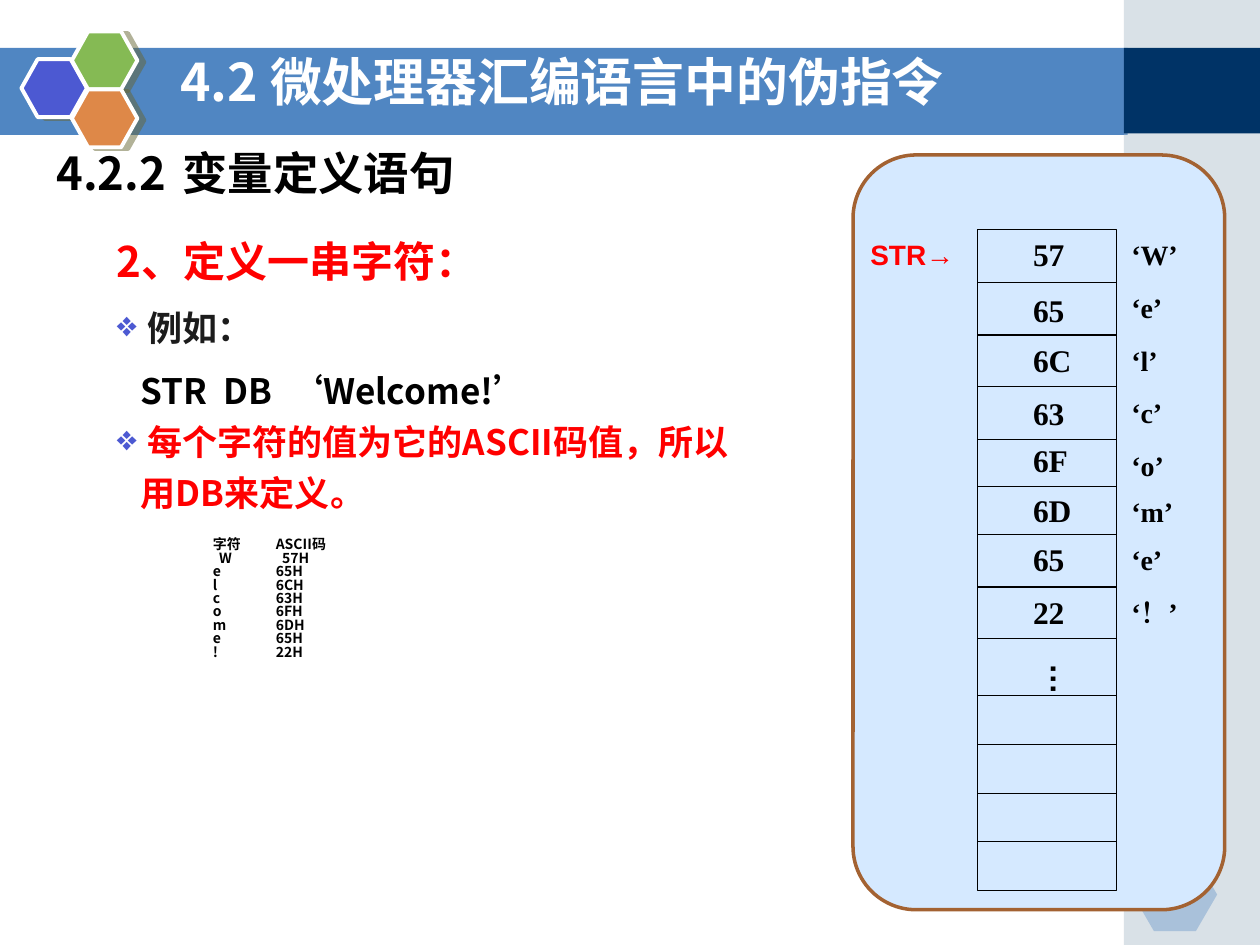
from dataclasses import dataclass

from lxml import etree
from pptx import Presentation
from pptx.dml.color import RGBColor
from pptx.enum.shapes import MSO_CONNECTOR, MSO_SHAPE
from pptx.enum.text import MSO_ANCHOR, MSO_AUTO_SIZE, PP_ALIGN
from pptx.oxml.ns import qn
from pptx.util import Inches, Pt

RECTANGLE = MSO_SHAPE.RECTANGLE
ROUNDED = MSO_SHAPE.ROUNDED_RECTANGLE
HEXAGON = MSO_SHAPE.HEXAGON
STRAIGHT = MSO_CONNECTOR.STRAIGHT


@dataclass(frozen=True)
class Theme:
    cjk: str = "Noto Sans CJK SC"
    serif: str = "Times New Roman"
    sans: str = "Arial"
    white: str = "FFFFFF"
    black: str = "000000"
    dark: str = "1C1C1C"
    red: str = "FF0000"
    band: str = "5086C2"
    navy: str = "003366"
    side: str = "A0B5C4"
    violet: str = "4C59D2"
    green: str = "85BA54"
    orange: str = "DE8848"
    shadow: str = "666633"
    panel: str = "D5E9FF"
    panel_edge: str = "A36232"
    title_size: float = 29.6
    section_size: float = 25.9
    topic_size: float = 24
    body_size: float = 20
    code_size: float = 18
    label_size: float = 16
    small_size: float = 8


THEME = Theme()


@dataclass(frozen=True)
class Line:
    text: str
    size: float
    color: str = THEME.black
    font: str = THEME.cjk
    before: float = 0
    spacing: float | None = None
    margin: float = 0
    hanging: float = 0
    bullet: str = ""
    tab: float = 0


@dataclass(frozen=True)
class Byte:
    code: str
    character: str
    code_top: float


BODY = [
    Line("2、定义一串字符：", THEME.topic_size, THEME.red),
    Line("例如：", THEME.body_size, THEME.dark, before=12, bullet="❖", margin=0.24, hanging=0.24),
    Line("STR  DB  ‘Welcome!’", THEME.body_size, before=12, margin=0.19),
    Line("每个字符的值为它的ASCII码值，所以", THEME.body_size, THEME.red,
         before=5, bullet="❖", margin=0.24, hanging=0.24),
    Line("用DB来定义。", THEME.body_size, THEME.red, before=5, margin=0.19),
]
WORD = [
    Byte("57", "W", 1.82), Byte("65", "e", 2.26), Byte("6C", "l", 2.66), Byte("63", "c", 3.08),
    Byte("6F", "o", 3.45), Byte("6D", "m", 3.85), Byte("65", "e", 4.24), Byte("22", "！", 4.66),
]
MEMORY_LEFT, MEMORY_RIGHT = 7.76, 8.86
ROW_EDGES = [1.82, 2.24, 2.66, 3.07, 3.49, 3.86, 4.24, 4.66, 5.07, 5.52, 5.91, 6.3, 6.68, 7.07]


def add_node(parent, tag: str, **attributes):
    return etree.SubElement(parent, qn(tag), attributes)


def write_line(para, line: Line) -> None:
    para.alignment = PP_ALIGN.LEFT
    para.space_before = Pt(line.before)
    if line.spacing:
        para.line_spacing = line.spacing
    properties = para._p.get_or_add_pPr()
    properties.set("marL", str(Inches(line.margin)))
    properties.set("indent", str(-Inches(line.hanging)))
    if line.bullet:
        add_node(add_node(properties, "a:buClr"), "a:srgbClr", val=THEME.violet)
        add_node(properties, "a:buChar", char=line.bullet)
    if line.tab:
        stops = add_node(properties, "a:tabLst")
        add_node(stops, "a:tab", pos=str(Inches(line.tab)), algn="l")
    span = para.add_run()
    span.text = line.text
    span.font.size = Pt(line.size)
    span.font.bold = True
    span.font.name = line.font
    span.font.color.rgb = RGBColor.from_string(line.color)
    east_asian = etree.Element(qn("a:ea"), typeface=line.font)
    span.font._element.find(qn("a:latin")).addnext(east_asian)


def write_text(frame, lines: list[Line]) -> None:
    frame.word_wrap = True
    frame.auto_size = MSO_AUTO_SIZE.NONE
    for index, line in enumerate(lines):
        write_line(frame.add_paragraph() if index else frame.paragraphs[0], line)


def add_text(page, left: float, top: float, width: float, height: float, *lines: Line):
    box = page.shapes.add_textbox(Inches(left), Inches(top), Inches(width), Inches(height))
    write_text(box.text_frame, list(lines))
    return box


def add_block(page, kind, left: float, top: float, width: float, height: float, *,
              fill: str = "", alpha: int = 100, edge: str = "", weight: float = 0.75,
              adjust: float | None = None):
    box = page.shapes.add_shape(kind, Inches(left), Inches(top), Inches(width), Inches(height))
    box.shadow.inherit = False
    if adjust is not None:
        box.adjustments[0] = adjust
    if fill:
        box.fill.solid()
        box.fill.fore_color.rgb = RGBColor.from_string(fill)
        if alpha < 100:
            color = box.element.spPr.find(qn("a:solidFill"))[0]
            add_node(color, "a:alpha", val=str(alpha * 1000))
    else:
        box.fill.background()
    if edge:
        box.line.color.rgb = RGBColor.from_string(edge)
        box.line.width = Pt(weight)
    else:
        box.line.fill.background()
    return box


def add_emblem(page, left: float, top: float, fill: str) -> None:
    box = add_block(page, HEXAGON, left, top, 0.52, 0.46, fill=fill, edge=THEME.white,
                    weight=2.25, adjust=0.28)
    effects = box.element.spPr.find(qn("a:effectLst"))
    shadow = add_node(effects, "a:outerShdw", blurRad="0", dist=str(Pt(4.1)),
                      dir=str(14 * 60000), algn="ctr", rotWithShape="0")
    add_node(add_node(shadow, "a:srgbClr", val=THEME.shadow), "a:alpha", val="50000")


def add_divider(page, y: float) -> None:
    rule = page.shapes.add_connector(STRAIGHT, Inches(MEMORY_LEFT), Inches(y),
                                     Inches(MEMORY_RIGHT), Inches(y))
    rule.line.color.rgb = RGBColor.from_string(THEME.black)
    rule.line.width = Pt(0.75)
    add_node(rule.element.spPr, "a:effectLst")


def draw_background(page) -> None:
    add_block(page, RECTANGLE, 0, 0.38, 8.95, 0.69, fill=THEME.band)
    add_block(page, RECTANGLE, 8.92, 0, 1.08, 7.5, fill=THEME.side, alpha=40)
    add_block(page, RECTANGLE, 8.92, 0.38, 1.08, 0.68, fill=THEME.navy)
    add_block(page, HEXAGON, 8.99, 6.81, 0.67, 0.58, fill=THEME.band, alpha=35, adjust=0.29)
    for left, top, fill in [(0.17, 0.47, THEME.violet), (0.57, 0.25, THEME.green),
                            (0.57, 0.71, THEME.orange)]:
        add_emblem(page, left, top, fill)


def draw_title(page) -> None:
    title = page.shapes.title
    title.left, title.top = Inches(1.33), Inches(0.36)
    title.width, title.height = Inches(7.33), Inches(0.62)
    title.text_frame.vertical_anchor = MSO_ANCHOR.MIDDLE
    write_text(title.text_frame, [Line("4.2 微处理器汇编语言中的伪指令", THEME.title_size,
                                       THEME.white, spacing=0.9)])
    # Bring the title in front of the band
    title.element.getparent().append(title.element)


def draw_code_list(page) -> None:
    rows = [Line("字符\tASCII码", THEME.small_size, spacing=0.8, tab=0.3)]
    for index, byte in enumerate(WORD):
        character = byte.character.replace("！", "!")
        rows.append(Line(f"{character}\t{byte.code}H", THEME.small_size, spacing=0.8,
                         margin=0 if index else 0.05, tab=0.15 if index else 0.18))
    add_text(page, 1.59, 4.23, 2.91, 1.35, *rows)


def draw_memory(page) -> None:
    add_block(page, ROUNDED, 6.77, 1.23, 2.95, 5.99, fill=THEME.panel,
              edge=THEME.panel_edge, weight=2, adjust=0.17)
    add_block(page, RECTANGLE, MEMORY_LEFT, ROW_EDGES[0], MEMORY_RIGHT - MEMORY_LEFT,
              ROW_EDGES[-1] - ROW_EDGES[0], edge=THEME.black)
    for y in ROW_EDGES[1:-1]:
        add_divider(page, y)
    # Byte values inside the cells, characters beside them
    for byte, top in zip(WORD, ROW_EDGES):
        add_text(page, 8.1, byte.code_top, 0.61, 0.4,
                 Line(byte.code, THEME.code_size, font=THEME.serif))
        add_text(page, 8.88, top + 0.02, 0.91, 0.37,
                 Line(f"‘{byte.character}’", THEME.label_size, font=THEME.serif))
    # Vertical ellipsis and the address pointer
    dots = add_text(page, 8.14, 5.17, 0.5, 0.33, Line("…", THEME.code_size, font=THEME.sans))
    frame = dots.text_frame
    frame.margin_left = frame.margin_right = Inches(0.05)
    frame.margin_top = frame.margin_bottom = Inches(0.1)
    dots.element.txBody.find(qn("a:bodyPr")).set("vert", "eaVert")
    add_text(page, 6.81, 1.84, 1.37, 0.37,
             Line("STR→", THEME.label_size, THEME.red, THEME.sans))


def main() -> None:
    deck = Presentation()
    deck.slide_width, deck.slide_height = Inches(10), Inches(7.5)
    page = deck.slides.add_slide(deck.slide_layouts[5])
    draw_background(page)
    section = add_text(page, 0.35, 1.15, 7.4, 0.56,
                       Line("4.2.2\t变量定义语句", THEME.section_size, tab=1.13))
    section.text_frame.margin_top = section.text_frame.margin_bottom = 0
    draw_title(page)
    add_text(page, 0.83, 1.82, 5.94, 2.51, *BODY)
    draw_code_list(page)
    draw_memory(page)
    deck.save("out.pptx")


if __name__ == "__main__":
    main()
